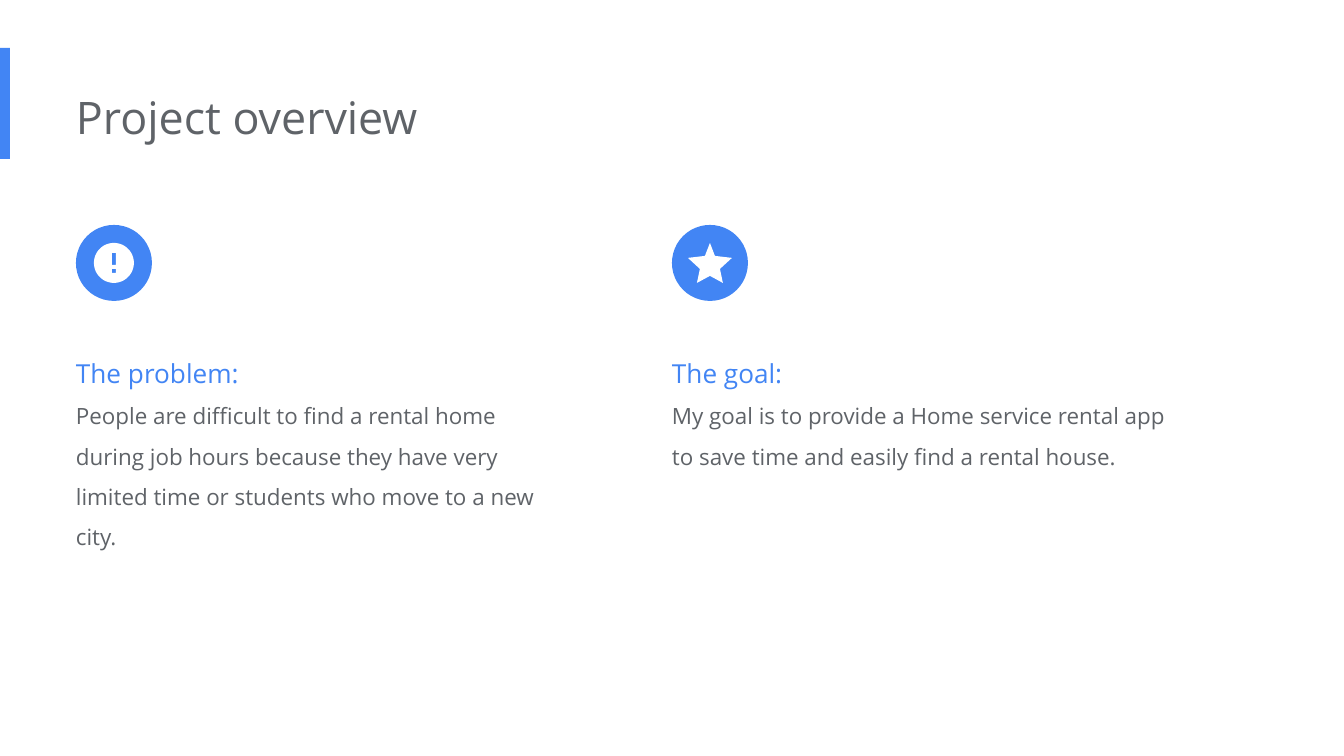
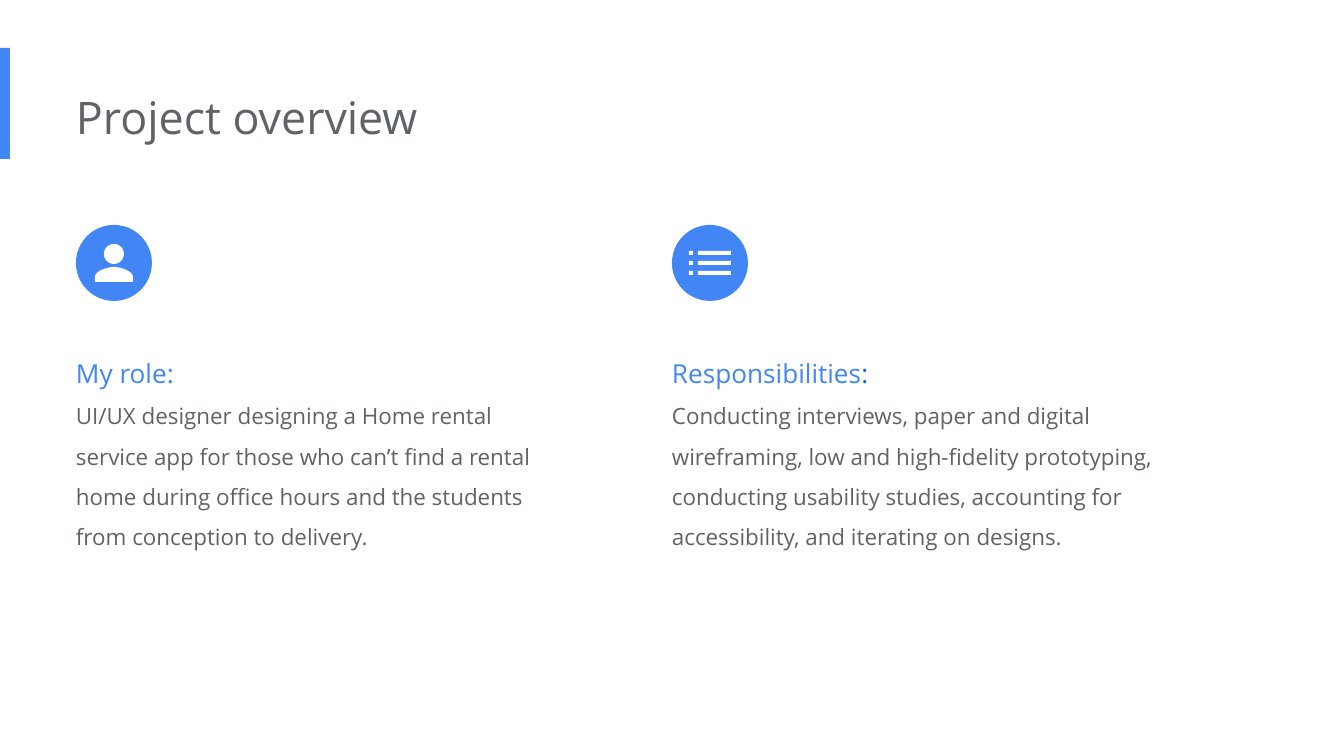
import math
from dataclasses import dataclass

from pptx import Presentation
from pptx.dml.color import RGBColor
from pptx.enum.shapes import MSO_SHAPE
from pptx.enum.text import MSO_AUTO_SIZE
from pptx.util import Emu, Pt

RECT, OVAL = MSO_SHAPE.RECTANGLE, MSO_SHAPE.OVAL
GROW = MSO_AUTO_SIZE.SHAPE_TO_FIT_TEXT

# Shared look
BLUE, DARK_BLUE, GREY, WHITE = "4285F4", "1967D2", "5F6368", "FFFFFF"
FONT = "Open Sans"
PX = 914400 / 134.4
SLIDE_W, SLIDE_H = 1344, 756
LEFT, MIDDLE = 76, 672
BADGE_TOP, BADGE_SIZE = 225, 76
TEXT_TOP, TEXT_W = 329, 507
INSET = 13

Point = tuple[float, float]
Contour = list[Point]


@dataclass(frozen=True)
class Column:
    heading: str
    body: str
    icon: list[Contour]
    height: int = 237
    colon_color: str = BLUE


def px(n: float) -> Emu:
    return Emu(round(n * PX))


def rgb(color: str) -> RGBColor:
    return RGBColor.from_string(color)


# Icon outlines, in px from the centre of the badge
def box(x1: float, y1: float, x2: float, y2: float) -> Contour:
    return [(x1, y1), (x2, y1), (x2, y2), (x1, y2)]


def circle(cy: float, radius: float, steps: int = 60) -> Contour:
    angles = [2 * math.pi * i / steps for i in range(steps)]
    return [(radius * math.cos(a), cy + radius * math.sin(a)) for a in angles]


def curve(a: Point, b: Point, c: Point, d: Point, steps: int = 16) -> Contour:
    def at(t: float, k: int) -> float:
        u = 1 - t
        return u**3 * a[k] + 3 * u * u * t * b[k] + 3 * u * t * t * c[k] + t**3 * d[k]

    return [(at(i / steps, 0), at(i / steps, 1)) for i in range(steps + 1)]


def mirrored(half: Contour) -> Contour:
    return half + [(-x, y) for x, y in reversed(half)]


ALERT = [circle(0, 20), box(-2, -10, 2, 2), box(-2, 6, 2, 10)]
STAR = [mirrored([(0, -20), (5, -7), (22, -5), (10, 6), (13, 20), (0, 13)])]
PERSON = [circle(-9, 10),
          mirrored(curve((0, 4), (6, 4), (19, 8), (19, 14)) + [(19, 19)])]
LIST = [box(x1, y, x2, y + 4)
        for y in range(-12, 9, 10) for x1, x2 in ((-21, -17), (-12, 21))]


# Drawing
def paint(sp, color: str) -> None:
    sp.shadow.inherit = False
    sp.fill.solid()
    sp.fill.fore_color.rgb = rgb(color)
    sp.line.fill.background()


def add_block(slide, kind, x: int, y: int, w: int, h: int, color: str) -> None:
    paint(slide.shapes.add_shape(kind, px(x), px(y), px(w), px(h)), color)


def add_icon(slide, cx: int, cy: int, contours: list[Contour]) -> None:
    builder = None
    for contour in contours:
        (x, y), *rest = [(px(cx + dx), px(cy + dy)) for dx, dy in contour]
        if builder is None:
            builder = slide.shapes.build_freeform(x, y)
        else:
            builder.move_to(x, y)
        builder.add_line_segments(rest, close=True)
    paint(builder.convert_to_shape(), WHITE)


def add_frame(slide, x: int, y: int, w: int, h: int):
    tf = slide.shapes.add_textbox(px(x), px(y), px(w), px(h)).text_frame
    tf.word_wrap = True
    tf.auto_size = GROW
    tf.margin_left = 0
    tf.margin_top = tf.margin_right = tf.margin_bottom = px(INSET)
    return tf


def add_run(p, text: str, *, size: int, color: str, spacing: float = 1.0) -> None:
    p.line_spacing = spacing
    r = p.add_run()
    r.text = text
    r.font.name = FONT
    r.font.size = Pt(size)
    r.font.color.rgb = rgb(color)


def add_column(slide, x: int, column: Column) -> None:
    tf = add_frame(slide, x, TEXT_TOP, TEXT_W, column.height)
    p = tf.paragraphs[0]
    if column.colon_color == BLUE:
        add_run(p, column.heading + ":", size=14, color=BLUE, spacing=1.5)
    else:
        add_run(p, column.heading, size=14, color=BLUE, spacing=1.5)
        add_run(p, ":", size=14, color=column.colon_color, spacing=1.5)
    add_run(tf.add_paragraph(), column.body, size=12, color=GREY, spacing=1.5)

    add_block(slide, OVAL, x, BADGE_TOP, BADGE_SIZE, BADGE_SIZE, BLUE)
    half = BADGE_SIZE // 2
    add_icon(slide, x + half, BADGE_TOP + half, column.icon)


def add_overview(prs, columns: list[Column]) -> None:
    slide = prs.slides.add_slide(prs.slide_layouts[6])
    slide.background.fill.solid()
    slide.background.fill.fore_color.rgb = rgb(WHITE)
    add_block(slide, RECT, 0, 48, 10, 111, BLUE)
    tf = add_frame(slide, LEFT, 77, 905, 82)
    add_run(tf.paragraphs[0], "Project overview", size=24, color=GREY)
    for x, column in zip((LEFT, MIDDLE), columns):
        add_column(slide, x, column)


# Content
SLIDES = [
    [
        Column("The problem",
               "People are difficult to find a rental home during job hours because "
               "they have very limited time or students who move to a new city.",
               ALERT),
        Column("The goal",
               "My goal is to provide a Home service rental app to save time and "
               "easily find a rental house.",
               STAR, height=156),
    ],
    [
        Column("My role",
               "UI/UX designer designing a Home rental service app for those who "
               "can’t find a rental home during office hours and the students from "
               "conception to delivery.",
               PERSON),
        Column("Responsibilities",
               "Conducting interviews, paper and digital wireframing, low and "
               "high-fidelity prototyping, conducting usability studies, accounting "
               "for accessibility, and iterating on designs.",
               LIST, colon_color=DARK_BLUE),
    ],
]


def main() -> None:
    prs = Presentation()
    prs.slide_width, prs.slide_height = px(SLIDE_W), px(SLIDE_H)
    for columns in SLIDES:
        add_overview(prs, columns)
    prs.save("out.pptx")


if __name__ == "__main__":
    main()
